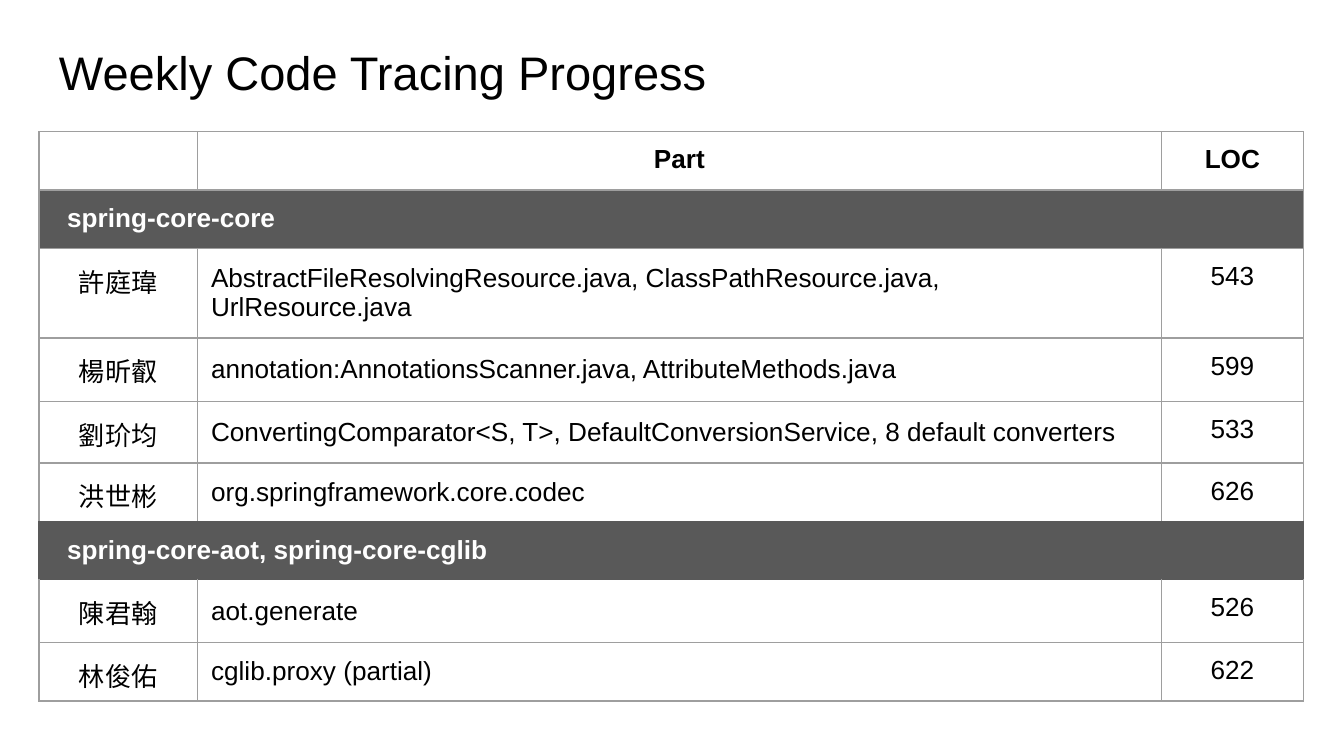
from lxml import etree
from pptx import Presentation
from pptx import util as u
from pptx.dml import color
from pptx.enum import text
from pptx.oxml import ns

HEX = {"ink": "000000", "white": "FFFFFF", "band": "595959", "rule": "9E9E9E"}
ROWS = [
    ("", "Part", "LOC"),
    ("spring-core-core",),
    ("許庭瑋", "AbstractFileResolvingResource.java, ClassPathResource.java, UrlResource.java", "543"),
    ("楊昕叡", "annotation:AnnotationsScanner.java, AttributeMethods.java", "599"),
    ("劉玠均", "ConvertingComparator<S, T>, DefaultConversionService, 8 default converters", "533"),
    ("洪世彬", "org.springframework.core.codec", "626"),
    ("spring-core-aot, spring-core-cglib",),
    ("陳君翰", "aot.generate", "526"),
    ("林俊佑", "cglib.proxy (partial)", "622"),
]
WIDE = [1.18, 7.17, 1.06]
HIGH = [0.38, 0.39, 0.46, 0.47, 0.46, 0.4, 0.4, 0.47, 0.43]  # rows grow to fit their text
DARK = 6  # band whose borders match its fill


def style(par, size, ink, bold=False):
    par.font.name = "Arial"
    par.font.size = u.Pt(size)
    par.font.bold = bold
    par.font.color.rgb = color.RGBColor.from_string(HEX[ink])


def border(cell, side, ink):
    props = cell._tc.get_or_add_tcPr()
    line = etree.SubElement(props, ns.qn("a:ln" + side), w=str(u.Pt(0.75)))
    fill = etree.SubElement(line, ns.qn("a:solidFill"))
    etree.SubElement(fill, ns.qn("a:srgbClr"), val=HEX[ink])


# Slide in 16:9
deck = Presentation()
deck.slide_width = u.Inches(10)
deck.slide_height = u.Inches(10) * 9 // 16
slide = deck.slides.add_slide(deck.slide_layouts[6])

# Title
box = slide.shapes.add_textbox(u.Inches(0.34), u.Inches(0.22), u.Inches(9.32), u.Inches(0.63))
frame = box.text_frame
frame.word_wrap = True
frame.vertical_anchor = text.MSO_ANCHOR.MIDDLE
frame.margin_left = frame.margin_right = u.Inches(0.1)
frame.margin_top = frame.margin_bottom = u.Inches(0.1)
frame.text = "Weekly Code Tracing Progress"
style(frame.paragraphs[0], 25.2, "ink")

# Table grid
grid = slide.shapes.add_table(len(ROWS), len(WIDE), u.Inches(0.29), u.Inches(0.98),
                              u.Inches(sum(WIDE)), u.Inches(sum(HIGH))).table
grid.first_row = grid.horz_banding = False
for col, width in zip(grid.columns, WIDE):
    col.width = u.Inches(width)
for row, height in zip(grid.rows, HIGH):
    row.height = u.Inches(height)

# Cells
for r, words in enumerate(ROWS):
    band = len(words) == 1
    for c in range(len(WIDE)):
        cell = grid.cell(r, c)
        cell.margin_left = u.Inches(0.21 if band else 0.1)
        cell.margin_right = cell.margin_top = cell.margin_bottom = u.Inches(0.1)
        if r == DARK or (c == 1 and r > 1):
            cell.vertical_anchor = text.MSO_ANCHOR.MIDDLE

        # Borders go ahead of the fill
        for side, near in (("L", r), ("R", r), ("T", r - 1), ("B", r + 1)):
            border(cell, side, "band" if DARK in (r, near) else "rule")
        if band:
            cell.fill.solid()
            cell.fill.fore_color.rgb = color.RGBColor.from_string(HEX["band"])
        else:
            cell.fill.background()

        if c < len(words):
            cell.text = words[c]
        par = cell.text_frame.paragraphs[0]
        style(par, 14, "white" if band else "ink", band or r == 0)
        if not band and (c != 1 or r == 0):
            par.alignment = text.PP_ALIGN.CENTER
    if band:
        grid.cell(r, 0).merge(grid.cell(r, len(WIDE) - 1))

deck.save("out.pptx")
